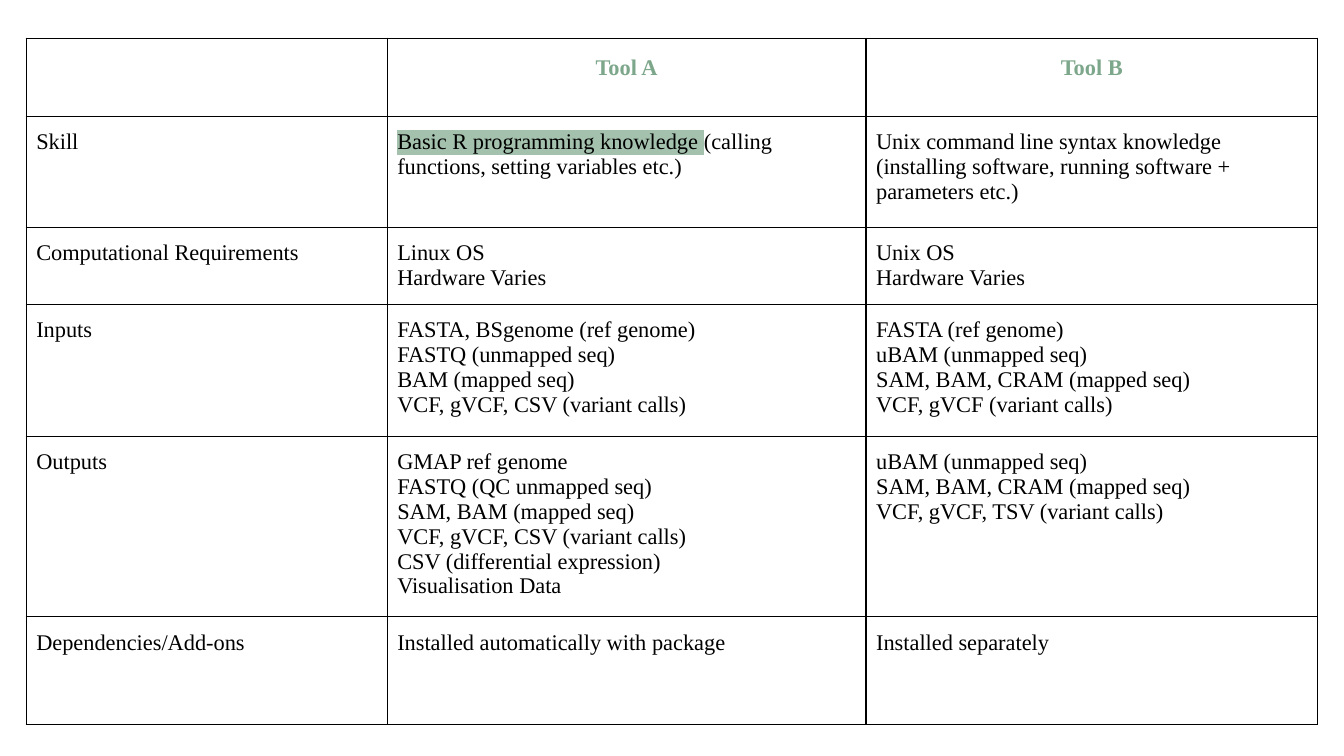
import pptx
import pptx.dml.color
import pptx.enum.text
import pptx.oxml
import pptx.oxml.ns
import pptx.util

BLACK = pptx.dml.color.RGBColor(0x00, 0x00, 0x00)
SAGE = pptx.dml.color.RGBColor(0x7D, 0xA7, 0x8B)
PALE_SAGE = pptx.dml.color.RGBColor(0xA3, 0xC1, 0xAD)

TABLE_LEFT, TABLE_TOP = 1.95, 5.07
COLUMN_WIDTHS = [26.86, 35.63, 33.61]
ROW_HEIGHTS = [10.35, 14.7, 10.15, 17.47, 23.87, 14.27]

HIGHLIGHTED = "Basic R programming knowledge "
HEADINGS = ["", "Tool A", "Tool B"]
COMPARISON = [
    (["Skill"],
     [HIGHLIGHTED + "(calling functions, setting variables etc.)"],
     ["Unix command line syntax knowledge (installing software, "
      "running software + parameters etc.)"]),
    (["Computational Requirements"],
     ["Linux OS", "Hardware Varies"],
     ["Unix OS", "Hardware Varies"]),
    (["Inputs"],
     ["FASTA, BSgenome (ref genome)", "FASTQ (unmapped seq)",
      "BAM (mapped seq)", "VCF, gVCF, CSV (variant calls)"],
     ["FASTA (ref genome)", "uBAM (unmapped seq)",
      "SAM, BAM, CRAM (mapped seq)", "VCF, gVCF (variant calls)"]),
    (["Outputs"],
     ["GMAP ref genome", "FASTQ (QC unmapped seq)", "SAM, BAM (mapped seq)",
      "VCF, gVCF, CSV (variant calls)", "CSV (differential expression)",
      "Visualisation Data"],
     ["uBAM (unmapped seq)", "SAM, BAM, CRAM (mapped seq)",
      "VCF, gVCF, TSV (variant calls)"]),
    (["Dependencies/Add-ons"],
     ["Installed automatically with package"],
     ["Installed separately"]),
]


class SlideWriter:
    font_name = "Times New Roman"
    font_size = pptx.util.Pt(16)
    border_width = pptx.util.Pt(1)
    side_inset = pptx.util.Inches(0.1)
    end_inset = pptx.util.Inches(0.13)

    def __init__(self, deck):
        self.deck = deck
        self.slide = deck.slides.add_slide(deck.slide_layouts[6])

    def across(self, percent):
        return round(self.deck.slide_width * percent / 100)

    def down(self, percent):
        return round(self.deck.slide_height * percent / 100)

    def table(self, left, top, widths, heights):
        frame = self.slide.shapes.add_table(
            len(heights), len(widths), self.across(left), self.down(top),
            self.across(sum(widths)), self.down(sum(heights)))
        table = frame.table
        table.first_row = False
        table.horz_banding = False
        for column, width in zip(table.columns, widths):
            column.width = self.across(width)
        for row, height in zip(table.rows, heights):
            row.height = self.down(height)
        for cell in table.iter_cells():
            self.style_cell(cell)
        return table

    def style_cell(self, cell):
        cell.margin_left = cell.margin_right = self.side_inset
        cell.margin_top = cell.margin_bottom = self.end_inset
        cell.fill.background()
        properties = cell._tc.get_or_add_tcPr()
        for index, side in enumerate(["lnL", "lnR", "lnT", "lnB"]):
            properties.insert(index, pptx.oxml.parse_xml(
                f'<a:{side} {pptx.oxml.ns.nsdecls("a")} w="{self.border_width}">'
                f'<a:solidFill><a:srgbClr val="{BLACK}"/></a:solidFill></a:{side}>'))

    def span(self, para, text, color=BLACK, bold=False, highlight=None):
        span = para.add_run()
        span.text = text
        span.font.name = self.font_name
        span.font.size = self.font_size
        span.font.bold = bold
        span.font.color.rgb = color
        if highlight is not None:
            solid_fill = span.font._element.find(pptx.oxml.ns.qn("a:solidFill"))
            solid_fill.addnext(pptx.oxml.parse_xml(
                f'<a:highlight {pptx.oxml.ns.nsdecls("a")}>'
                f'<a:srgbClr val="{highlight}"/></a:highlight>'))

    def heading(self, cell, text):
        para = cell.text_frame.paragraphs[0]
        para.alignment = pptx.enum.text.PP_ALIGN.CENTER
        para.line_spacing = 1.15
        para.space_before = pptx.util.Pt(12)
        self.span(para, text, SAGE, bold=True)

    def entries(self, cell, lines):
        frame = cell.text_frame
        for index, line in enumerate(lines):
            para = frame.add_paragraph() if index else frame.paragraphs[0]
            if line.startswith(HIGHLIGHTED):
                self.span(para, HIGHLIGHTED, highlight=PALE_SAGE)
                line = line.removeprefix(HIGHLIGHTED)
            self.span(para, line)


def main():
    deck = pptx.Presentation()
    deck.slide_width = pptx.util.Inches(13.33)
    deck.slide_height = pptx.util.Inches(7.5)
    writer = SlideWriter(deck)
    table = writer.table(TABLE_LEFT, TABLE_TOP, COLUMN_WIDTHS, ROW_HEIGHTS)
    for column, heading in enumerate(HEADINGS):
        if heading:
            writer.heading(table.cell(0, column), heading)
    for row, contents in enumerate(COMPARISON, start=1):
        for column, lines in enumerate(contents):
            writer.entries(table.cell(row, column), lines)
    deck.save("out.pptx")


if __name__ == "__main__":
    main()
